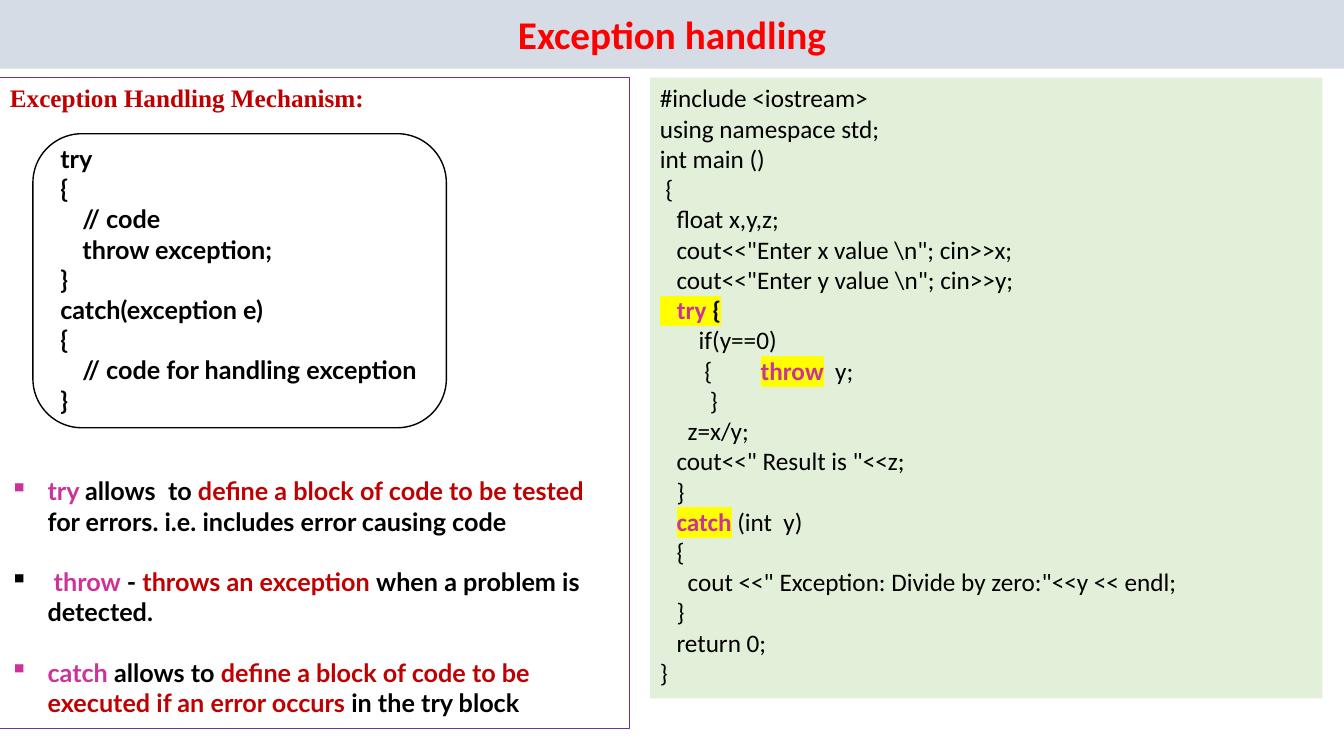
from dataclasses import dataclass
from typing import Optional

from lxml.etree import SubElement
from pptx import Presentation
from pptx.dml.color import RGBColor
from pptx.enum.shapes import MSO_SHAPE
from pptx.enum.text import MSO_ANCHOR, PP_ALIGN
from pptx.oxml.ns import qn
from pptx.shapes.autoshape import Shape
from pptx.util import Cm, Pt

BLACK = RGBColor(0x00, 0x00, 0x00)
WHITE = RGBColor(0xFF, 0xFF, 0xFF)
RED = RGBColor(0xFF, 0x00, 0x00)
DARK_RED = RGBColor(0xC0, 0x00, 0x00)
PINK = RGBColor(0xCC, 0x33, 0x99)
PURPLE = RGBColor(0x70, 0x30, 0xA0)
YELLOW = RGBColor(0xFF, 0xFF, 0x00)
BLUE_GREY = RGBColor(0xD6, 0xDC, 0xE5)
PALE_GREEN = RGBColor(0xE2, 0xF0, 0xD9)

SPACE_WIDTH = Cm(0.14)
LINE_HEIGHT = Cm(0.76)
SYNTAX_MARGIN = Cm(1.27)
BULLET_MARGIN = Cm(0.95)
THROW_STOP = Cm(2.62)


@dataclass(frozen=True)
class Span:
    text: str
    color: RGBColor = BLACK
    bold: Optional[bool] = None
    highlight: Optional[RGBColor] = None


@dataclass(frozen=True)
class Line:
    spans: tuple[Span, ...]
    font: str = "Calibri"
    size: int = 18
    bold: bool = False
    margin: int = 0
    indent: int = 0
    blank_lines_before: int = 0
    bullet: str = ""
    tab_stop: int = 0
    align: PP_ALIGN = PP_ALIGN.LEFT


@dataclass(frozen=True)
class Box:
    left: float
    top: float
    width: float
    height: float
    fill: Optional[RGBColor] = None
    border: Optional[RGBColor] = None
    border_width: float = 0
    preset: MSO_SHAPE = MSO_SHAPE.RECTANGLE
    anchor: MSO_ANCHOR = MSO_ANCHOR.TOP
    lines: tuple[Line, ...] = ()


def write_line(paragraph, line: Line) -> None:
    paragraph.alignment = line.align
    paragraph.space_before = Pt((LINE_HEIGHT * line.blank_lines_before) / Pt(1))
    properties = paragraph._p.get_or_add_pPr()
    properties.set("marL", str(line.margin))
    properties.set("indent", str(line.indent))
    if line.bullet:
        SubElement(properties, qn("a:buChar")).set("char", line.bullet)
    if line.tab_stop:
        stops = SubElement(properties, qn("a:tabLst"))
        SubElement(stops, qn("a:tab"), pos=str(line.tab_stop), algn="l")
    paragraph.font.name = line.font
    paragraph.font.size = Pt(line.size)
    paragraph.font.bold = line.bold
    colors = {span.color for span in line.spans}
    if len(colors) == 1:
        paragraph.font.color.rgb = line.spans[0].color
    for span in line.spans:
        run = paragraph.add_run()
        run.text = span.text
        if len(colors) > 1:
            run.font.color.rgb = span.color
        if span.bold is not None:
            run.font.bold = span.bold
        if span.highlight is not None:
            marker = SubElement(run._r.get_or_add_rPr(), qn("a:highlight"))
            SubElement(marker, qn("a:srgbClr")).set("val", str(span.highlight))


def draw_box(slide, box: Box) -> Shape:
    shape = slide.shapes.add_shape(
        box.preset, Cm(box.left), Cm(box.top), Cm(box.width), Cm(box.height)
    )
    shape.shadow.inherit = False
    if box.fill is None:
        shape.fill.background()
    else:
        shape.fill.solid()
        shape.fill.fore_color.rgb = box.fill
    if box.border is None:
        shape.line.fill.background()
    else:
        shape.line.color.rgb = box.border
        shape.line.width = Pt(box.border_width)
    frame = shape.text_frame
    frame.word_wrap = True
    frame.vertical_anchor = box.anchor
    for number, line in enumerate(box.lines):
        write_line(frame.add_paragraph() if number else frame.paragraphs[0], line)
    return shape


def syntax(depth: int, text: str, blank_lines_before: int = 0) -> Line:
    return Line((Span(text),), "Lato", bold=True, margin=SYNTAX_MARGIN,
                indent=depth * SPACE_WIDTH, blank_lines_before=blank_lines_before)


def explanation(blank_lines_before: int, *spans: Span) -> Line:
    return Line(spans, "Lato", bold=True, margin=BULLET_MARGIN, indent=-BULLET_MARGIN,
                blank_lines_before=blank_lines_before, bullet="▪")


def code(depth: int, *parts: str | Span, tab_stop: int = 0) -> Line:
    spans = tuple(Span(part) if isinstance(part, str) else part for part in parts)
    return Line(spans, indent=depth * SPACE_WIDTH, tab_stop=tab_stop)


def keyword(text: str) -> Span:
    return Span(text, PINK, True, YELLOW)


title = Line((Span("Exception handling", RED),), size=28, bold=True, align=PP_ALIGN.CENTER)

mechanism = (
    Line((Span("Exception Handling Mechanism:", DARK_RED),), "Times New Roman", bold=True),
    syntax(0, "try", 1),
    syntax(0, "{"),
    syntax(4, "// code"),
    syntax(4, "throw exception;"),
    syntax(0, "}"),
    syntax(0, "catch(exception e)"),
    syntax(0, "{"),
    syntax(4, "// code for handling exception"),
    syntax(0, "}"),
    explanation(2, Span("try ", PINK), Span("allows  to "),
                Span("define a block of code to be tested", DARK_RED),
                Span(" for errors. i.e. includes error causing code")),
    explanation(1, Span(" "), Span("throw", PINK), Span(" - "),
                Span("throws an exception ", DARK_RED),
                Span("when a problem is detected.")),
    explanation(1, Span("catch", PINK), Span(" allows to "),
                Span("define a block of code to be executed if an error occurs ", DARK_RED),
                Span("in the try block")),
)

program = (
    code(0, "#include <iostream>"),
    code(0, "using namespace std;"),
    code(0, "int main ()"),
    code(1, "{"),
    code(3, "float x,y,z;"),
    code(3, 'cout<<"Enter x value \\n"; cin>>x;'),
    code(3, 'cout<<"Enter y value \\n"; cin>>y;'),
    code(0, keyword("   try"), Span(" {", BLACK, True, YELLOW)),
    code(7, "if(y==0)"),
    code(8, "{\t", keyword("throw"), "  y;", tab_stop=THROW_STOP),
    code(9, "}"),
    code(5, "z=x/y;"),
    code(3, 'cout<<" Result is "<<z;'),
    code(3, "}"),
    code(3, keyword("catch"), " (int  y)"),
    code(3, "{"),
    code(5, 'cout <<" Exception: Divide by zero:"<<y << endl;'),
    code(3, "}"),
    code(3, "return 0;"),
    code(0, "}"),
)

boxes = (
    Box(0.83, 3.37, 10.42, 7.41, WHITE, BLACK, 1, MSO_SHAPE.ROUNDED_RECTANGLE),
    Box(0, 0, 33.87, 1.73, BLUE_GREY, anchor=MSO_ANCHOR.MIDDLE, lines=(title,)),
    Box(0, 1.96, 15.86, 16.4, border=PURPLE, border_width=0.75, lines=mechanism),
    Box(16.38, 1.96, 16.95, 15.64, PALE_GREEN, lines=program),
)

presentation = Presentation()
presentation.slide_width = Cm(33.87)
presentation.slide_height = Cm(19.05)
exception_slide = presentation.slides.add_slide(presentation.slide_layouts[6])
for box in boxes:
    draw_box(exception_slide, box)
presentation.save("out.pptx")
